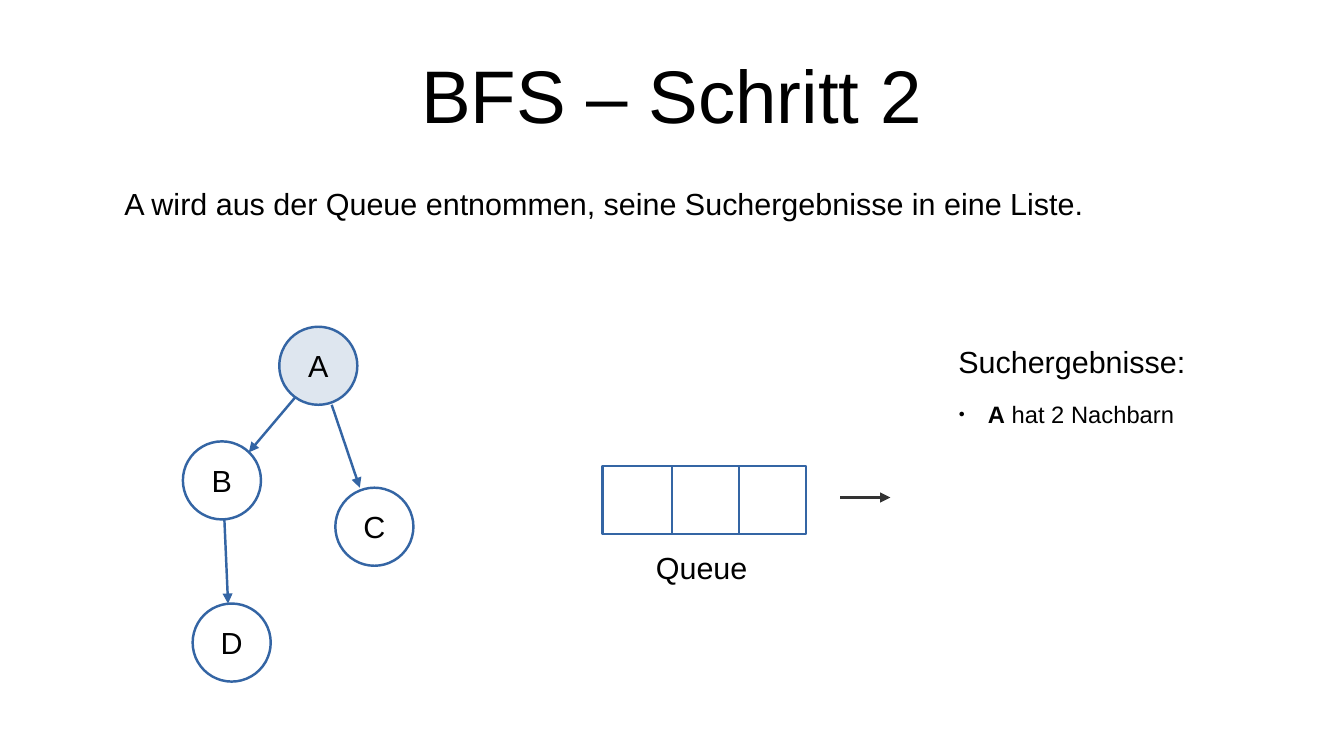
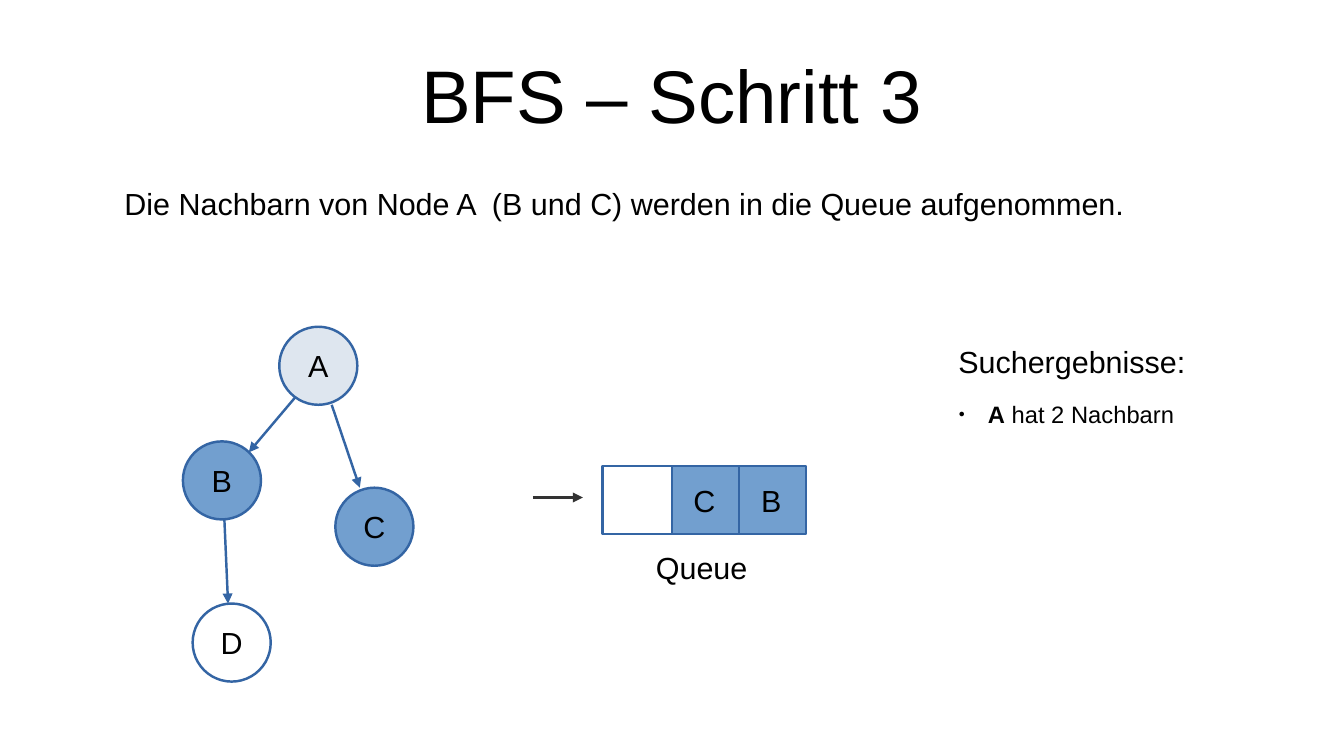
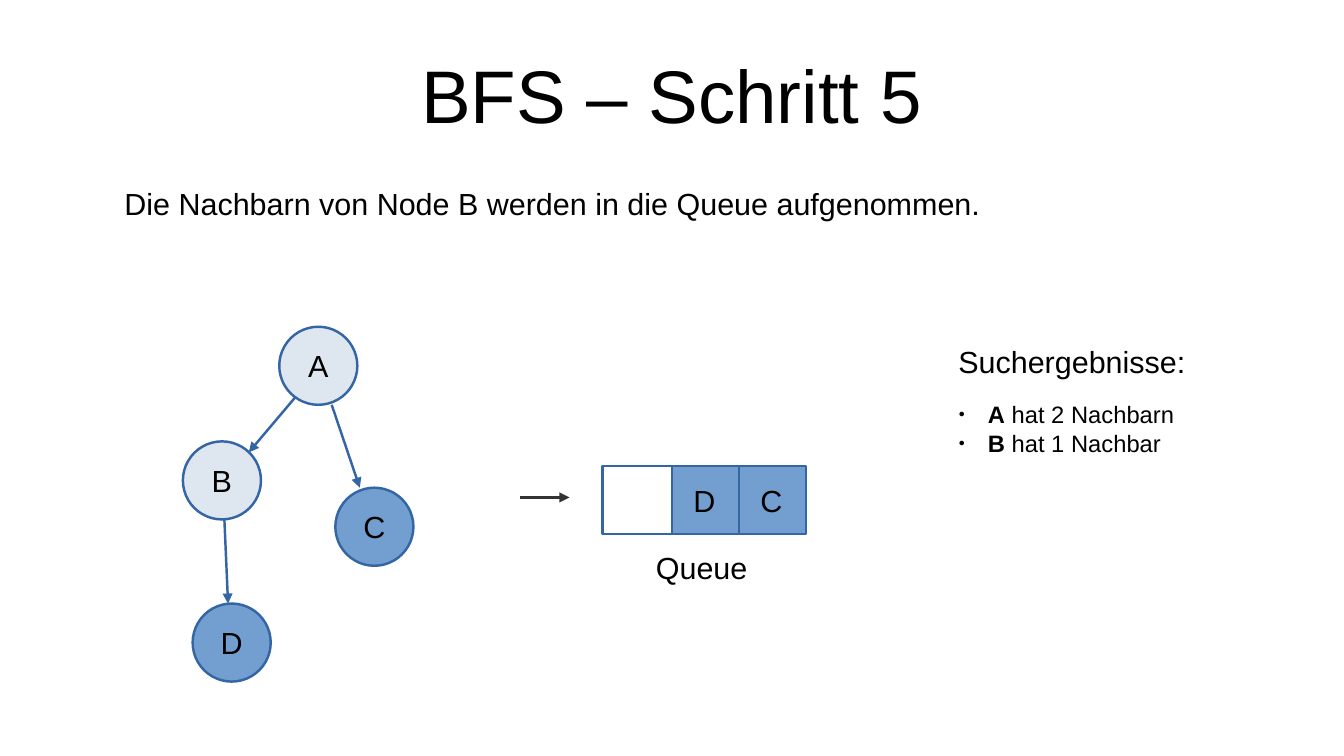
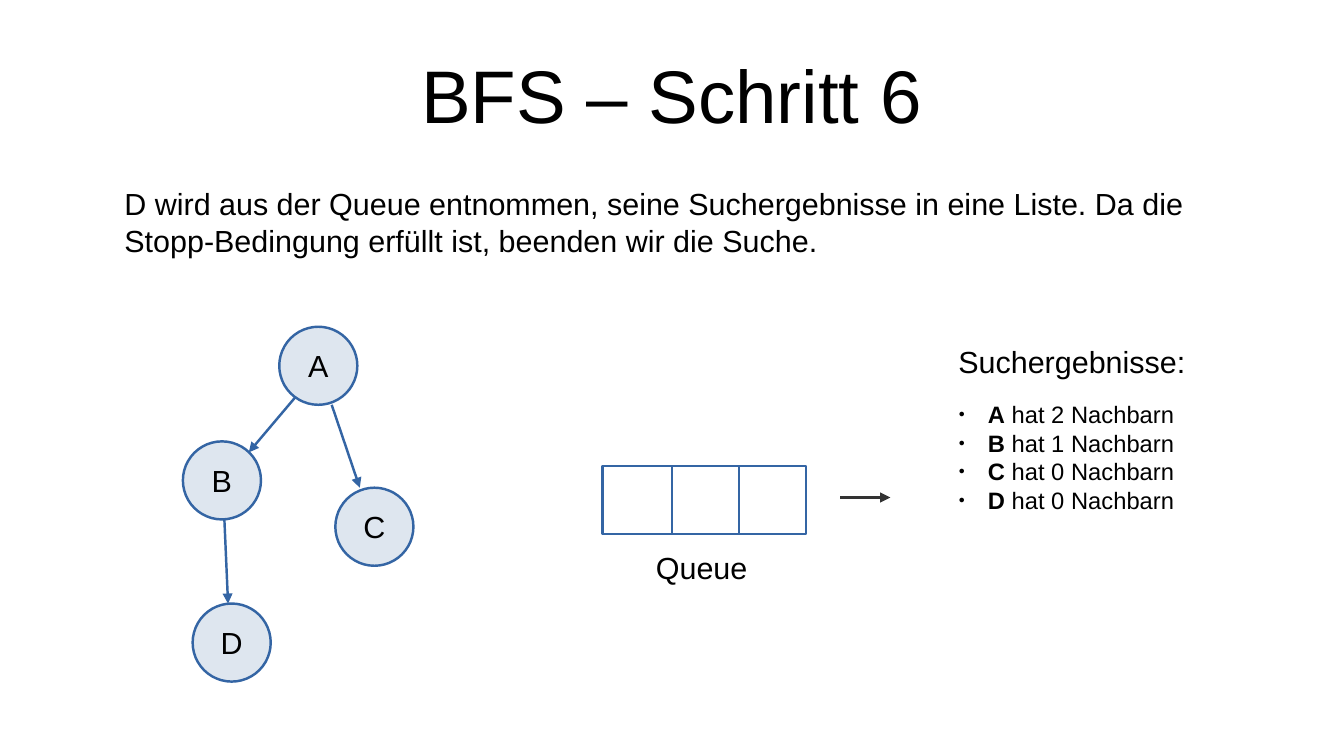
from dataclasses import dataclass

from lxml import etree
from pptx import Presentation
from pptx import util as u
from pptx.dml.color import RGBColor
from pptx.enum import shapes, text
from pptx.oxml import ns


@dataclass(frozen=True)
class Theme:
    """Colours, font and sizes shared by all slides."""
    font: str = "Arial"
    ink: str = "000000"
    plain: str = "FFFFFF"
    visited: str = "DEE6EF"
    queued: str = "729FCF"
    outline: str = "3465A4"
    arrow: str = "333333"
    title_size: float = 44
    text_size: float = 18
    list_size: float = 14
    line_width: float = 1.45


THEME = Theme()
LAYOUT_TWO_CONTENT = 3
TITLE_BOX = (0.55, 0.25, 9.92, 1.04)
CAPTION_BOX = (0.55, 1.52, 9.92, 0.91)
TREE_BOX = (1.5, 2.68, 1.89, 2.91)
QUEUE_BOX = (4.94, 3.82, 1.67, 0.56)
RESULTS_BOX = (7.76, 2.76, 2.47, 2.22)

NODE_SIZE = 0.64
NODES = {"A": (0.79, 0), "B": (0, 0.94), "C": (1.25, 1.32), "D": (0.08, 2.27)}
EDGES = [((0.92, 0.58), (0.54, 1.03)),
         ((1.22, 0.64), (1.45, 1.32)),
         ((0.34, 1.58), (0.37, 2.27))]
QUEUE_SLOTS = 3
SLOT_STEP = 0.55
SLOT_WIDTH = 0.57
ARROW_LENGTH = 0.41
ARROW_OUT = 1.95

STEPS = [
    dict(number=2, queue="", arrow=ARROW_OUT, results={"A": "2 Nachbarn"},
         caption="A wird aus der Queue entnommen, seine Suchergebnisse in eine Liste."),
    dict(number=3, queue="CB", arrow=-0.57, results={"A": "2 Nachbarn"},
         caption="Die Nachbarn von Node A  (B und C) werden in die Queue aufgenommen."),
    dict(number=5, queue="DC", arrow=-0.68,
         results={"A": "2 Nachbarn", "B": "1 Nachbar"},
         caption="Die Nachbarn von Node B werden in die Queue aufgenommen."),
    dict(number=6, queue="", arrow=ARROW_OUT,
         results={"A": "2 Nachbarn", "B": "1 Nachbarn",
                  "C": "0 Nachbarn", "D": "0 Nachbarn"},
         caption="D wird aus der Queue entnommen, seine Suchergebnisse in eine Liste. "
                 "Da die Stopp-Bedingung erfüllt ist, beenden wir die Suche."),
]


def apply_formats(target, formats):
    """Set every attribute named in formats on the target."""
    for name, value in formats.items():
        setattr(target, name, value)


def lengths(*values):
    """Turn inch values into lengths."""
    return [u.Inches(value) for value in values]


def add_span(para, words, size, bold=False):
    """Append a formatted run to a paragraph."""
    span = para.add_run()
    span.text = words
    apply_formats(span.font, dict(name=THEME.font, size=u.Pt(size), bold=bold))
    span.font.color.rgb = RGBColor.from_string(THEME.ink)


def set_frame(frame, horizontal, vertical, anchor=text.MSO_ANCHOR.TOP):
    """Set the margins, wrapping and anchor of a text frame."""
    apply_formats(frame, dict(
        margin_left=u.Inches(horizontal), margin_right=u.Inches(horizontal),
        margin_top=u.Inches(vertical), margin_bottom=u.Inches(vertical),
        word_wrap=True, auto_size=text.MSO_AUTO_SIZE.NONE, vertical_anchor=anchor))


def place(shape, box):
    """Move a shape to a box given in inches."""
    apply_formats(shape, dict(zip(("left", "top", "width", "height"), lengths(*box))))


def set_list_style(para, margin, indent, bullets):
    """Set the indents and bullet elements of a paragraph."""
    properties = para._p.get_or_add_pPr()
    properties.set("marL", str(u.Inches(margin)))
    properties.set("indent", str(u.Inches(indent)))
    for tag, attributes in bullets:
        etree.SubElement(properties, ns.qn(tag), attributes)


def add_bullet_style(para):
    """Give a paragraph a small hanging round bullet."""
    set_list_style(para, 0.24, -0.24, [
        ("a:buClr", {}), ("a:buSzPct", {"val": "45000"}), ("a:buChar", {"char": "●"})])
    colour = para._p.pPr.find(ns.qn("a:buClr"))
    etree.SubElement(colour, ns.qn("a:srgbClr"), {"val": THEME.ink})


def add_cell(page, kind, box, label, fill):
    """Add an outlined shape with a centred letter."""
    cell = page.shapes.add_shape(kind, *lengths(*box))
    cell.shadow.inherit = False
    cell.fill.solid()
    cell.fill.fore_color.rgb = RGBColor.from_string(fill)
    cell.line.color.rgb = RGBColor.from_string(THEME.outline)
    cell.line.width = u.Pt(THEME.line_width)
    set_frame(cell.text_frame, 0.11, 0.06, text.MSO_ANCHOR.MIDDLE)
    if label:
        para = cell.text_frame.paragraphs[0]
        para.alignment = text.PP_ALIGN.CENTER
        add_span(para, label, THEME.text_size)


def add_arrow(page, start, end, colour):
    """Add a straight line with a triangle at its end."""
    arrow = page.shapes.add_connector(
        shapes.MSO_CONNECTOR.STRAIGHT, *lengths(*start, *end))
    arrow.line.color.rgb = RGBColor.from_string(colour)
    arrow.line.width = u.Pt(THEME.line_width)
    etree.SubElement(arrow.line._get_or_add_ln(), ns.qn("a:tailEnd"), {"type": "triangle"})
    etree.SubElement(arrow._element.spPr, ns.qn("a:effectLst"))


def add_label(page, box, words):
    """Add a plain text label."""
    label = page.shapes.add_textbox(*lengths(*box))
    set_frame(label.text_frame, 0.1, 0.05)
    add_span(label.text_frame.paragraphs[0], words, THEME.text_size)


def fill_title(page, box, words):
    """Place and fill the title placeholder."""
    title = page.shapes.title
    place(title, box)
    set_frame(title.text_frame, 0, 0, text.MSO_ANCHOR.MIDDLE)
    para = title.text_frame.paragraphs[0]
    para.alignment = text.PP_ALIGN.CENTER
    add_span(para, words, THEME.title_size)


def fill_caption(page, box, words):
    """Place and fill the body placeholder that explains the step."""
    caption = page.placeholders[1]
    place(caption, box)
    set_frame(caption.text_frame, 0, 0)
    para = caption.text_frame.paragraphs[0]
    set_list_style(para, 0.47, 0, [("a:buNone", {})])
    apply_formats(para, dict(space_before=u.Pt(11.9), space_after=u.Pt(9.9)))
    add_span(para, words, THEME.text_size)


def draw_tree(page, box, visited, queued):
    """Draw the search tree, coloured by the state of each node."""
    left, top = box[:2]
    for name, (x, y) in NODES.items():
        fill = (THEME.visited if name in visited
                else THEME.queued if name in queued else THEME.plain)
        add_cell(page, shapes.MSO_SHAPE.OVAL,
                 (left + x, top + y, NODE_SIZE, NODE_SIZE), name, fill)
    for edge in EDGES:
        start, end = [(left + x, top + y) for x, y in edge]
        add_arrow(page, start, end, THEME.outline)


def draw_queue(page, box, queue, arrow):
    """Draw the queue, filled from the right, with its arrow and label."""
    left, top, _, height = box
    letters = queue.rjust(QUEUE_SLOTS)
    for slot in reversed(range(QUEUE_SLOTS)):
        letter = letters[slot].strip()
        add_cell(page, shapes.MSO_SHAPE.RECTANGLE,
                 (left + slot * SLOT_STEP, top, SLOT_WIDTH, height),
                 letter, THEME.queued if letter else THEME.plain)
    add_label(page, (left + 0.34, top + 0.63, 1.1, 0.42), "Queue")
    start, level = left + arrow, top + 0.26
    add_arrow(page, (start, level), (start + ARROW_LENGTH, level), THEME.arrow)


def fill_results(page, box, results):
    """Add the results heading and fill the list placeholder below it."""
    left, top, width, height = box
    add_label(page, (left, top, width, 0.42), "Suchergebnisse:")
    listing = page.placeholders[2]
    place(listing, (left, top + 0.47, 2.21, height - 0.47))
    frame = listing.text_frame
    set_frame(frame, 0.1, 0.05)
    for position, (name, count) in enumerate(results.items()):
        para = frame.add_paragraph() if position else frame.paragraphs[0]
        add_bullet_style(para)
        para.space_before = u.Pt(0)
        add_span(para, name, THEME.list_size, bold=True)
        add_span(para, f" hat {count}", THEME.list_size)


def add_step(deck, number, caption, queue, arrow, results):
    """Build the slide for one step of the search."""
    page = deck.slides.add_slide(deck.slide_layouts[LAYOUT_TWO_CONTENT])
    fill_title(page, TITLE_BOX, f"BFS – Schritt {number}")
    fill_caption(page, CAPTION_BOX, caption)
    draw_tree(page, TREE_BOX, results, queue)
    draw_queue(page, QUEUE_BOX, queue, arrow)
    fill_results(page, RESULTS_BOX, results)


def main():
    """Build and save the deck."""
    deck = Presentation()
    deck.slide_width, deck.slide_height = lengths(11.02, 6.2)
    for step in STEPS:
        add_step(deck, **step)
    deck.save("out.pptx")


if __name__ == "__main__":
    main()
